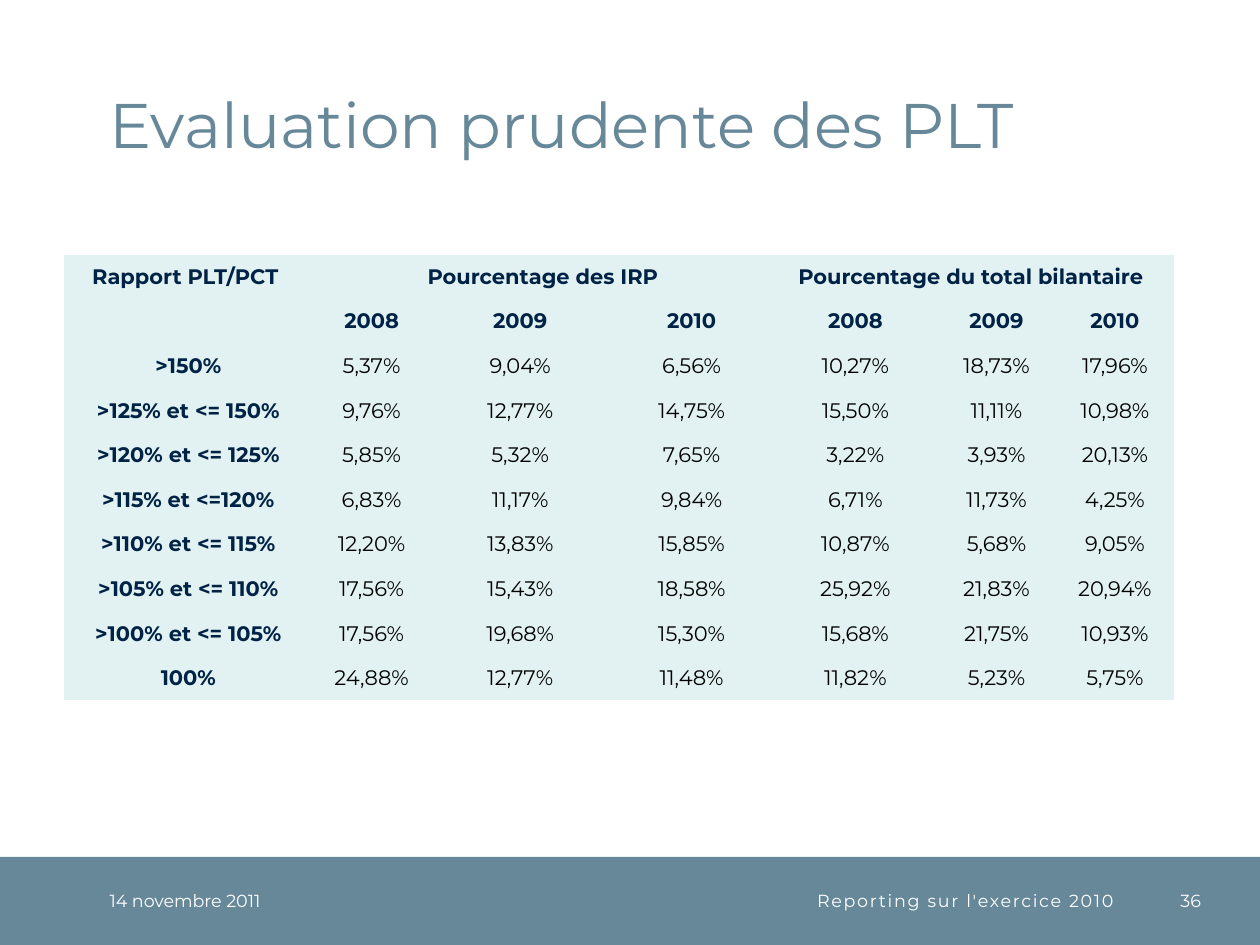
from pptx import Presentation, util as u
from pptx.dml.color import RGBColor
from pptx.enum import shapes, text

COLORS = {"slate": "668899", "navy": "002244", "pale": "E2F2F3",
          "white": "FFFFFF", "black": "000000"}
FONT = "Montserrat"
NO_STYLE = "{2D5ABB26-0587-4C30-8999-92F81FD0307C}"
ALIGN, ANCHOR = text.PP_ALIGN, text.MSO_ANCHOR
MARGINS = ("margin_left", "margin_top", "margin_right", "margin_bottom")


def write(p, words, size, color, align, bold=False):
    """Fill a paragraph with one formatted run and return the run."""
    p.alignment = align
    r = p.add_run()
    r.text = words
    fmt = {"name": FONT, "size": u.Pt(size), "bold": bold}
    for name, value in fmt.items():
        setattr(r.font, name, value)
    r.font.color.rgb = RGBColor.from_string(COLORS[color])
    return r


def add_text(s, box, words, size, color, align, anchor):
    """Add a text box without margins and return its paragraph and run."""
    tf = s.shapes.add_textbox(*map(u.Inches, box)).text_frame
    fmt = {"word_wrap": True, "vertical_anchor": anchor, **dict.fromkeys(MARGINS, 0)}
    for name, value in fmt.items():
        setattr(tf, name, value)
    p = tf.paragraphs[0]
    return p, write(p, words, size, color, align)


prs = Presentation()
prs.slide_width, prs.slide_height = u.Inches(10), u.Inches(7.5)
s = prs.slides.add_slide(prs.slide_layouts[6])

# Footer band
BAND_TOP, BAND_HEIGHT = 6.8, 0.7
band = s.shapes.add_shape(shapes.MSO_SHAPE.RECTANGLE, 0, u.Inches(BAND_TOP),
                          prs.slide_width, u.Inches(BAND_HEIGHT))
band.shadow.inherit = False
band.fill.solid()
band.fill.fore_color.rgb = RGBColor.from_string(COLORS["slate"])
band.line.fill.background()

footers = [
    (0.87, 1.77, "14 novembre 2011", ALIGN.LEFT, 0),
    (2.64, 6.2, "Reporting sur l'exercice 2010", ALIGN.RIGHT, 1),
    (9.04, 0.49, "36", ALIGN.RIGHT, 0),
]
for left, width, words, align, spacing in footers:
    p, r = add_text(s, (left, BAND_TOP, width, BAND_HEIGHT), words, 10, "white",
                    align, ANCHOR.MIDDLE)
    if spacing:
        r.font._element.set("spc", str(spacing * 100))

# Title
p, r = add_text(s, (0.87, 0.2, 8.63, 1.08), "Evaluation prudente des PLT", 36,
                "slate", ALIGN.LEFT, ANCHOR.BOTTOM)
p.line_spacing = u.Pt(32)

# Table of ratios
years = ["2008", "2009", "2010"]
rows = [
    ["Rapport PLT/PCT ", "Pourcentage des IRP", "", "",
     "Pourcentage du total bilantaire ", "", ""],
    ["", *years, *years],
    [">150%", "5,37%", "9,04%", "6,56%", "10,27%", "18,73%", "17,96%"],
    [">125% et <= 150%", "9,76%", "12,77%", "14,75%", "15,50%", "11,11%", "10,98%"],
    [">120% et <= 125%", "5,85%", "5,32%", "7,65%", "3,22%", "3,93%", "20,13%"],
    [">115% et <=120%", "6,83%", "11,17%", "9,84%", "6,71%", "11,73%", "4,25%"],
    [">110% et <= 115%", "12,20%", "13,83%", "15,85%", "10,87%", "5,68%", "9,05%"],
    [">105% et <= 110%", "17,56%", "15,43%", "18,58%", "25,92%", "21,83%", "20,94%"],
    [">100% et <= 105%", "17,56%", "19,68%", "15,30%", "15,68%", "21,75%", "10,93%"],
    ["100%", "24,88%", "12,77%", "11,48%", "11,82%", "5,23%", "5,75%"],
]
widths = [1.97, 0.94, 1.42, 1.3, 1.3, 0.94, 0.94]
table = s.shapes.add_table(len(rows), len(widths), u.Inches(0.51), u.Inches(2.02),
                           u.Inches(sum(widths)), u.Inches(3.54)).table
table._tbl.tblPr.find("{*}tableStyleId").text = NO_STYLE
table.first_row = table.horz_banding = False
for col, width in zip(table.columns, widths):
    col.width = u.Inches(width)
for first in (1, 4):
    table.cell(0, first).merge(table.cell(0, first + 2))

for i, row in enumerate(rows):
    for j, words in enumerate(row):
        cell = table.cell(i, j)
        cell.fill.solid()
        cell.fill.fore_color.rgb = RGBColor.from_string(COLORS["pale"])
        fmt = {"vertical_anchor": ANCHOR.MIDDLE, **dict.fromkeys(MARGINS, 0)}
        for name, value in fmt.items():
            setattr(cell, name, value)
        if words:
            header = i < 2 or j == 0
            write(cell.text_frame.paragraphs[0], words, 12,
                  "navy" if header else "black", ALIGN.CENTER, header)

prs.save("out.pptx")
